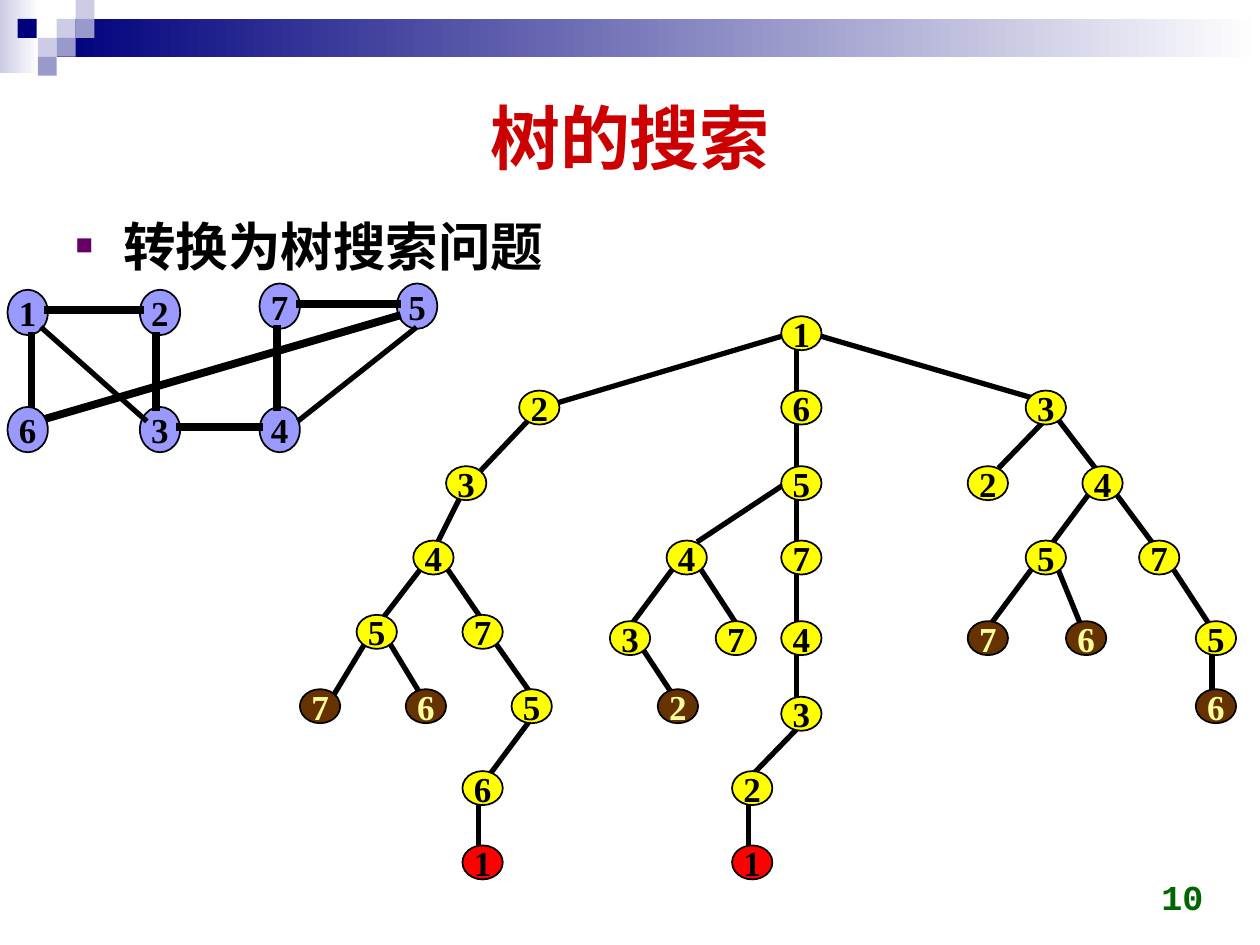
"""Build a slide that turns a graph search into a tree search."""
import pptx
import pptx.util
import pptx.dml.color
import pptx.enum.shapes
import pptx.enum.text
import pptx.oxml
import pptx.oxml.ns

Inches = pptx.util.Inches
Pt = pptx.util.Pt
SHAPE = pptx.enum.shapes.MSO_SHAPE
ALIGN = pptx.enum.text.PP_ALIGN
ANCHOR = pptx.enum.text.MSO_ANCHOR

COLORS = {
    "navy": "00007D", "lilac": "CCCCE6", "violet": "9999CC", "white": "FFFFFF",
    "title": "CC0000", "black": "000000", "bullet": "660066", "number": "006600",
    "graph": "9999FF", "open": "FFFF00", "dead": "663300", "goal": "FF0000",
    "dead_text": "FFFF99",
}

STEP = 0.15
BANDS = [(0, 0, 0.31, 0.58, "lilac"), (0.45, 0.15, 9.55, 0.3, "navy")]
TILES = [(0.45, 0.15, "lilac"), (0.6, 0, "lilac"), (0.6, 0.15, "violet"),
         (0.3, 0.3, "lilac"), (0.14, 0.15, "navy"), (0.45, 0.3, "violet"),
         (0.3, 0.45, "violet")]

TREE_EDGES = [
    (6.2, 2.67, 4.38, 3.21), (6.32, 2.78, 6.32, 3.1), (6.52, 2.67, 8.2, 3.16),
    (4.19, 3.34, 3.83, 3.72), (3.67, 3.91, 3.48, 4.29), (3.35, 4.5, 3.02, 4.93),
    (3.54, 4.5, 3.8, 4.88), (3.93, 5.1, 4.19, 5.47), (2.9, 5.1, 2.64, 5.53),
    (3.09, 5.1, 3.35, 5.53), (4.19, 5.74, 3.87, 6.17), (3.8, 6.39, 3.8, 6.71),
    (6.32, 3.32, 6.32, 3.7), (6.2, 3.86, 5.55, 4.29), (6.32, 3.91, 6.32, 4.29),
    (6.32, 4.56, 6.32, 4.93), (5.35, 4.5, 5.03, 4.93), (5.55, 4.5, 5.87, 4.99),
    (5.1, 5.15, 5.35, 5.53), (6.32, 5.2, 6.32, 5.53), (6.32, 5.79, 6, 6.12),
    (5.94, 6.39, 5.94, 6.71), (8.26, 3.37, 7.94, 3.7), (8.39, 3.32, 8.72, 3.75),
    (8.65, 3.91, 8.33, 4.34), (8.85, 3.91, 9.17, 4.34), (8.2, 4.5, 7.88, 4.93),
    (8.39, 4.5, 8.59, 4.99), (9.3, 4.5, 9.62, 4.99), (9.62, 5.15, 9.62, 5.53),
]
TREE_ROWS = {
    2.51: [(6.2, "1", "open")],
    3.1: [(4.12, "2", "open"), (6.2, "6", "open"), (8.14, "3", "open")],
    3.7: [(3.54, "3", "open"), (6.2, "5", "open"), (7.68, "2", "open"),
          (8.59, "4", "open")],
    4.29: [(3.28, "4", "open"), (5.29, "4", "open"), (6.2, "7", "open"),
           (8.14, "5", "open"), (9.04, "7", "open")],
    4.88: [(2.83, "5", "open"), (3.67, "7", "open")],
    4.93: [(4.84, "3", "open"), (5.68, "7", "open"), (6.2, "4", "open"),
           (7.68, "7", "dead"), (8.46, "6", "dead"), (9.49, "5", "open")],
    5.47: [(2.38, "7", "dead"), (3.22, "6", "dead"), (4.06, "5", "open"),
           (5.22, "2", "dead"), (9.49, "6", "dead")],
    5.53: [(6.2, "3", "open")],
    6.12: [(3.67, "6", "open"), (5.81, "2", "open")],
    6.71: [(3.67, "1", "goal"), (5.81, "1", "goal")],
}

GRAPH_NODES = [(0.06, 2.3, "1"), (1.11, 2.3, "2"), (2.06, 2.25, "7"),
               (2.06, 3.23, "4"), (3.15, 2.25, "5"), (1.11, 3.23, "3")]
GRAPH_THIN = [(0.34, 2.61, 1.15, 3.33), (3.29, 2.61, 2.38, 3.33)]
GRAPH_PATH = [(0.38, 2.46, 1.11, 2.46), (1.24, 2.67, 1.24, 3.23),
              (1.43, 3.39, 2.06, 3.39), (2.2, 3.23, 2.2, 2.61),
              (2.38, 2.41, 3.15, 2.41), (0.34, 3.33, 3.15, 2.51),
              (0.25, 2.67, 0.25, 3.23)]


def rgb(name):
    return pptx.dml.color.RGBColor.from_string(COLORS[name])


class Deck:
    def __init__(self):
        self.prs = pptx.Presentation()
        self.prs.slide_width, self.prs.slide_height = Inches(10), Inches(7.5)
        self.s = self.prs.slides.add_slide(self.prs.slide_layouts[1])

    def text(self, sp, text, size, font, color, align, anchor):
        tf = sp.text_frame
        tf.vertical_anchor = anchor
        p = tf.paragraphs[0]
        p.text = text
        p.alignment = align
        f = p.runs[0].font
        f.size, f.name, f.bold = Pt(size), font, True
        f.color.rgb = rgb(color)
        return p

    def place(self, sp, x, y, w, h):
        sp.left, sp.top, sp.width, sp.height = map(Inches, (x, y, w, h))

    def title(self, text):
        sp = self.s.shapes.title
        self.place(sp, 0.5, 0.5, 9, 1.16)
        self.text(sp, text, 40, "Arial", "title", ALIGN.CENTER, ANCHOR.MIDDLE)

    def bullet(self, text):
        sp = self.s.placeholders[1]
        self.place(sp, 0.5, 1.62, 9, 5.2)
        p = self.text(sp, text, 30, "Arial", "black", ALIGN.LEFT, ANCHOR.TOP)
        p.line_spacing, p.space_before = 1.05, Pt(4.5)
        pPr = p._p.get_or_add_pPr()
        pPr.set("marL", str(Inches(0.38)))
        pPr.set("indent", str(-Inches(0.38)))
        ns = pptx.oxml.ns.nsdecls("a")
        for xml in (f'<a:buClr {ns}><a:srgbClr val="{COLORS["bullet"]}"/></a:buClr>',
                    f'<a:buSzPct {ns} val="55000"/>',
                    f'<a:buFont {ns} typeface="Arial"/>',
                    f'<a:buChar {ns} char="■"/>'):
            pPr.append(pptx.oxml.parse_xml(xml))

    def number(self, text):
        sp = self.s.shapes.add_textbox(*map(Inches, (7.32, 6.83, 2.33, 0.5)))
        sp.text_frame.word_wrap = True
        self.text(sp, text, 20, "Courier New", "number", ALIGN.RIGHT, ANCHOR.BOTTOM)

    def shape(self, kind, x, y, w, h, color):
        sp = self.s.shapes.add_shape(kind, *map(Inches, (x, y, w, h)))
        sp.shadow.inherit = False
        sp.fill.solid()
        sp.fill.fore_color.rgb = rgb(color)
        sp.line.fill.background()
        return sp

    def tile(self, x, y, color):
        self.shape(SHAPE.RECTANGLE, x, y, STEP, STEP, color)

    def band(self, x, y, w, h, color):
        sp = self.shape(SHAPE.RECTANGLE, x, y, w, h, color)
        sp.fill.gradient()
        sp.fill.gradient_angle = 0
        for stop, pos, name in zip(sp.fill.gradient_stops, (0, 1), (color, "white")):
            stop.position = pos
            stop.color.rgb = rgb(name)

    def node(self, x, y, label, kind, h=0.27):
        sp = self.shape(SHAPE.OVAL, x, y, 0.32, h, kind)
        sp.line.color.rgb = rgb("black")
        sp.line.width = Pt(1)
        tf = sp.text_frame
        tf.word_wrap = False
        tf.margin_left = tf.margin_right = tf.margin_top = tf.margin_bottom = 0
        color = "dead_text" if kind == "dead" else "black"
        self.text(sp, label, 20, "Times New Roman", color, ALIGN.CENTER, ANCHOR.MIDDLE)

    def edge(self, x1, y1, x2, y2, width=3):
        c = self.s.shapes.add_connector(pptx.enum.shapes.MSO_CONNECTOR.STRAIGHT,
                                        *map(Inches, (x1, y1, x2, y2)))
        c.line.color.rgb = rgb("black")
        c.line.width = Pt(width)
        spPr = c._element.spPr
        spPr.find(pptx.oxml.ns.qn("a:ln")).set("cap", "sq")
        spPr.append(pptx.oxml.parse_xml(f'<a:effectLst {pptx.oxml.ns.nsdecls("a")}/>'))


def main():
    d = Deck()
    for band in BANDS:
        d.band(*band)
    for tile in TILES:
        d.tile(*tile)
    d.title("树的搜索")
    d.bullet("转换为树搜索问题")
    d.number("10")
    for edge in TREE_EDGES:
        d.edge(*edge)
    for y, row in TREE_ROWS.items():
        for x, label, kind in row:
            d.node(x, y, label, kind)
    for node in GRAPH_NODES:
        d.node(*node, "graph", h=0.36)
    for edge in GRAPH_THIN:
        d.edge(*edge)
    for edge in GRAPH_PATH:
        d.edge(*edge, width=4.5)
    d.node(0.06, 3.23, "6", "graph", h=0.36)
    d.prs.save("out.pptx")


if __name__ == "__main__":
    main()
